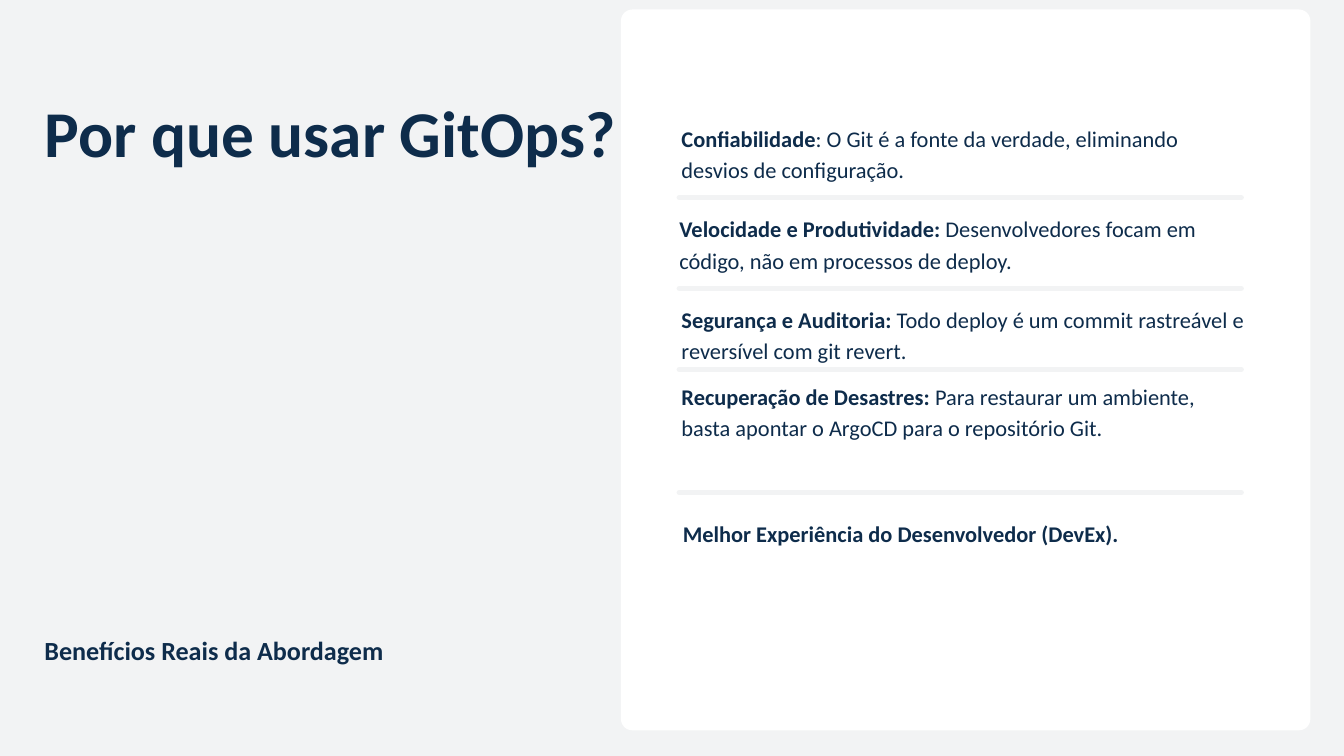
"""Build the slide on the benefits of GitOps."""
import pptx
import pptx.dml.color
import pptx.enum.shapes
import pptx.enum.text
import pptx.oxml
import pptx.oxml.ns
import pptx.util

Cm = pptx.util.Cm
Pt = pptx.util.Pt
Align = pptx.enum.text.PP_ALIGN
NAVY, PALE, WHITE = "0E2C4B", "F2F3F4", "FFFFFF"


def paint(color, code):
    color.rgb = pptx.dml.color.RGBColor.from_string(code)


def write(shape, box, runs, size=24, lead=33.6, align=Align.LEFT):
    place = dict(zip(("left", "top", "width", "height"), map(Cm, box)))
    for name, value in place.items():
        setattr(shape, name, value)
    frame = shape.text_frame
    form = {"word_wrap": True, "auto_size": pptx.enum.text.MSO_AUTO_SIZE.NONE,
            "vertical_anchor": pptx.enum.text.MSO_ANCHOR.TOP,
            "margin_left": 0, "margin_top": 0, "margin_right": 0, "margin_bottom": 0}
    for name, value in form.items():
        setattr(frame, name, value)
    para = frame.paragraphs[0]
    para.alignment, para.line_spacing = align, Pt(lead)
    for text, bold in runs:
        run = para.add_run()
        run.text = text
        for name, value in {"name": "Calibri", "size": Pt(size), "bold": bold}.items():
            setattr(run.font, name, value)
        paint(run.font.color, NAVY)


deck = pptx.Presentation()
deck.slide_width, deck.slide_height = Cm(50.8), Cm(28.58)
slide = deck.slides.add_slide(deck.slide_layouts[5])
slide.background.fill.solid()
paint(slide.background.fill.fore_color, PALE)
shapes = slide.shapes

card = shapes.add_shape(pptx.enum.shapes.MSO_SHAPE.ROUNDED_RECTANGLE,
                        Cm(23.47), Cm(0.36), Cm(26.06), Cm(27.25))
card.adjustments[0] = 0.43 / 26.06
card.shadow.inherit = False
card.fill.solid()
paint(card.fill.fore_color, WHITE)
card.line.fill.background()

for y in (7.47, 10.9, 13.97, 18.62):
    rule = shapes.add_connector(pptx.enum.shapes.MSO_CONNECTOR.STRAIGHT,
                                Cm(25.68), Cm(y), Cm(46.91), Cm(y))
    rule.line.width = Pt(6)
    paint(rule.line.color, PALE)
    props = rule._element.spPr
    props.find(pptx.oxml.ns.qn("a:ln")).set("cap", "rnd")
    props.append(pptx.oxml.parse_xml(f"<a:effectLst {pptx.oxml.ns.nsdecls('a')}/>"))

write(shapes.title, (1.68, 3.48, 22.02, 5.87), [("Por que usar GitOps?", True)], 70, 84)

items = [
    ((25.76, 4.55, 21.44, 2.29), "Confiabilidade",
     ": O Git é a fonte da verdade, eliminando desvios de configuração."),
    ((25.68, 7.98, 21.44, 2.29), "Velocidade e Produtividade:",
     " Desenvolvedores focam em código, não em processos de deploy."),
    ((25.76, 11.4, 21.44, 2.29), "Segurança e Auditoria:",
     " Todo deploy é um commit rastreável e reversível com git revert."),
    ((25.76, 14.3, 21.13, 3.45), "Recuperação de Desastres:",
     " Para restaurar um ambiente, basta apontar o ArgoCD para o repositório Git."),
]
for box, head, body in items:
    write(shapes.add_textbox(0, 0, 0, 0), box, [(head, True), (body, False)])

write(shapes.add_textbox(0, 0, 0, 0), (25.81, 19.48, 22.02, 1.12),
      [("Melhor Experiência do Desenvolvedor (DevEx).", True)], align=Align.JUSTIFY)
write(shapes.add_textbox(0, 0, 0, 0), (1.68, 24, 15.42, 1.14),
      [("Benefícios Reais da Abordagem", True)], 28)

deck.save("out.pptx")
